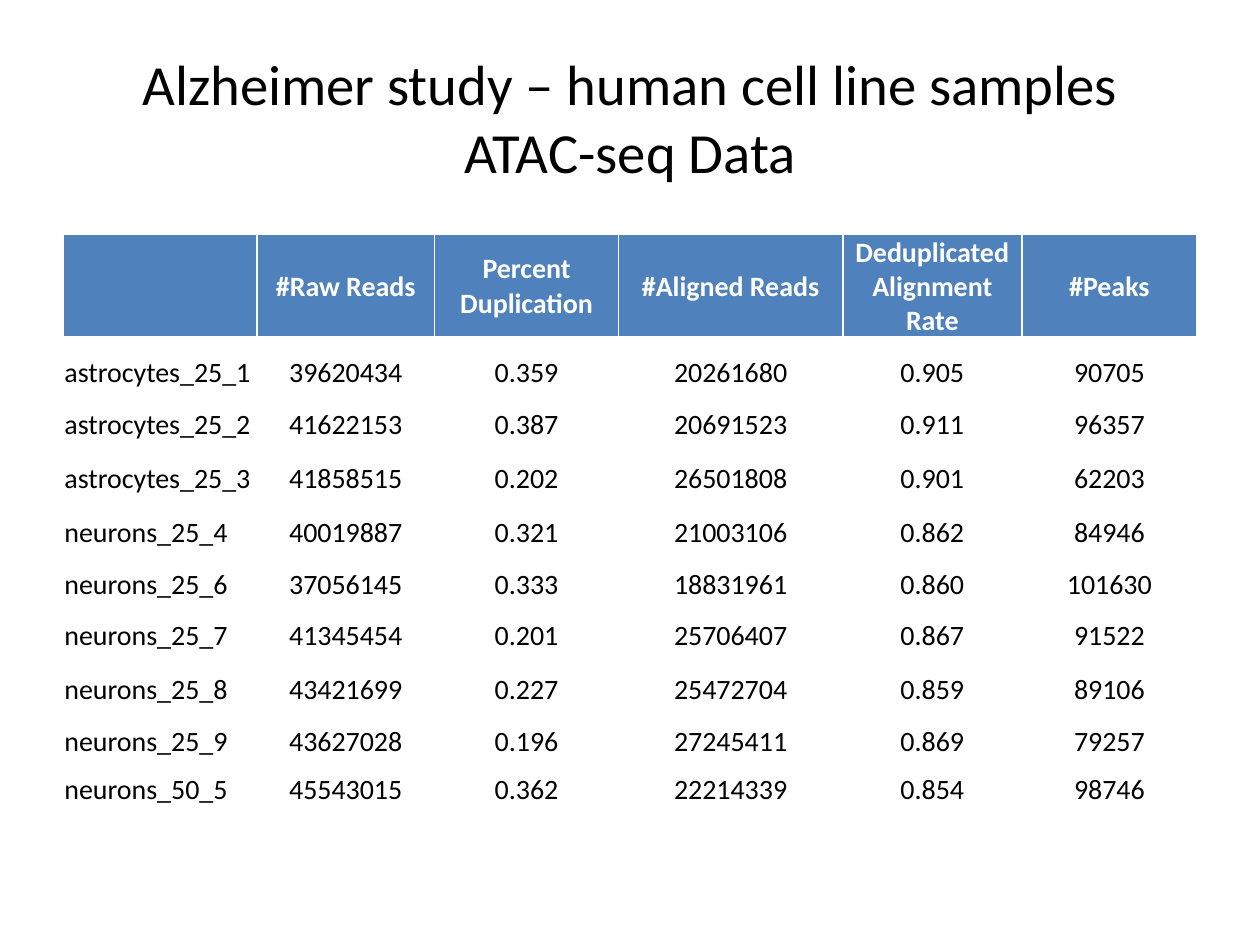
from lxml.etree import SubElement
from pptx import Presentation
from pptx.dml.color import RGBColor
from pptx.enum.text import MSO_ANCHOR, PP_ALIGN
from pptx.oxml.ns import qn
from pptx.util import Cm, Pt

BLACK = RGBColor(0x00, 0x00, 0x00)
WHITE = RGBColor(0xFF, 0xFF, 0xFF)
BLUE = RGBColor(0x4F, 0x81, 0xBD)

TITLE = {"name": "Calibri", "size": Pt(32.4), "bold": False}
HEAD = {"name": "Calibri", "size": Pt(16), "bold": True}
BODY = {"name": "Calibri", "size": Pt(16), "bold": False}
INSET = {"margin_left": Cm(0.03), "margin_right": Cm(0.03),
         "margin_top": Cm(0.03), "margin_bottom": Cm(0)}

WIDTHS = [3.91, 3.58, 3.71, 4.52, 3.61, 3.53]
HEIGHTS = [2.08, 1.07, 1.04, 1.09, 1.09, 1.04, 1.04, 1.09, 1.04, 0.97]
ROWS = [
    ["", "#Raw Reads", "Percent Duplication", "#Aligned Reads",
     "Deduplicated Alignment Rate", "#Peaks"],
    ["astrocytes_25_1", "39620434", "0.359", "20261680", "0.905", "90705"],
    ["astrocytes_25_2", "41622153", "0.387", "20691523", "0.911", "96357"],
    ["astrocytes_25_3", "41858515", "0.202", "26501808", "0.901", "62203"],
    ["neurons_25_4", "40019887", "0.321", "21003106", "0.862", "84946"],
    ["neurons_25_6", "37056145", "0.333", "18831961", "0.860", "101630"],
    ["neurons_25_7", "41345454", "0.201", "25706407", "0.867", "91522"],
    ["neurons_25_8", "43421699", "0.227", "25472704", "0.859", "89106"],
    ["neurons_25_9", "43627028", "0.196", "27245411", "0.869", "79257"],
    ["neurons_50_5", "45543015", "0.362", "22214339", "0.854", "98746"],
]


def write(frame, text, look, color, align):
    """Put one formatted paragraph into a text frame."""
    para = frame.paragraphs[0]
    para.alignment = align
    run = para.add_run()
    run.text = text
    for key, value in look.items():
        setattr(run.font, key, value)
    run.font.color.rgb = color


def border(cell, sides):
    """Draw white cell borders; sides maps a tag to a width in points."""
    props = cell._tc.get_or_add_tcPr()
    for spot, (side, width) in enumerate(sides.items()):
        line = SubElement(props, qn(f"a:{side}"), w=str(Pt(width)))
        fill = SubElement(line, qn("a:solidFill"))
        SubElement(fill, qn("a:srgbClr"), val=str(WHITE))
        props.insert(spot, line)


deck = Presentation()
deck.slide_width, deck.slide_height = Cm(25.4), Cm(19.05)
slide = deck.slides.add_slide(deck.slide_layouts[6])

title = slide.shapes.add_textbox(Cm(1.27), Cm(0.76), Cm(22.86), Cm(3.18))
title.text_frame.word_wrap = True
title.text_frame.vertical_anchor = MSO_ANCHOR.MIDDLE
write(title.text_frame,
      "Alzheimer study \u2013 human cell line samples ATAC-seq Data",
      TITLE, BLACK, PP_ALIGN.CENTER)

table = slide.shapes.add_table(len(ROWS), len(WIDTHS), Cm(1.27), Cm(4.72),
                               Cm(sum(WIDTHS)), Cm(sum(HEIGHTS))).table
table.horz_banding = False
for col, width in zip(table.columns, WIDTHS):
    col.width = Cm(width)
for row, height in zip(table.rows, HEIGHTS):
    row.height = Cm(height)

for r, words in enumerate(ROWS):
    for c, text in enumerate(words):
        cell = table.cell(r, c)
        for key, value in INSET.items():
            setattr(cell, key, value)
        if r == 0:
            cell.fill.solid()
            cell.fill.fore_color.rgb = BLUE
            cell.vertical_anchor = MSO_ANCHOR.MIDDLE
            border(cell, {"lnL": 1, "lnR": 1, "lnT": 1, "lnB": 1.5})
        else:
            cell.fill.background()
            cell.vertical_anchor = MSO_ANCHOR.BOTTOM
            if r == 1:
                border(cell, {"lnT": 1.5})
        if text:
            write(cell.text_frame, text, BODY if r else HEAD,
                  BLACK if r else WHITE,
                  PP_ALIGN.LEFT if c == 0 else PP_ALIGN.CENTER)

deck.save("out.pptx")
